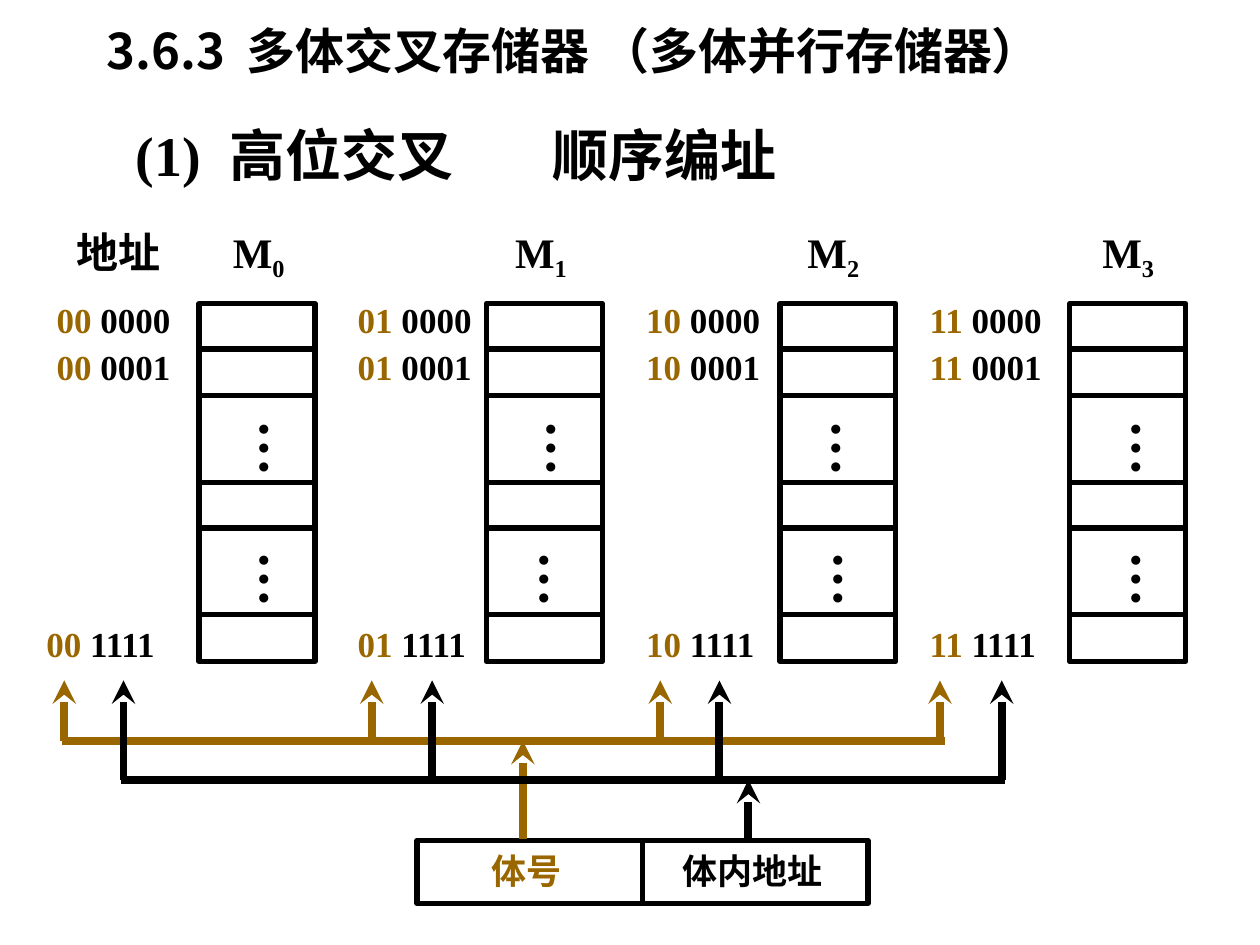
from dataclasses import dataclass
from itertools import pairwise

from lxml import etree
from pptx import Presentation
from pptx.dml.color import RGBColor
from pptx.enum.shapes import MSO_CONNECTOR, MSO_SHAPE
from pptx.enum.text import MSO_ANCHOR, MSO_AUTO_SIZE
from pptx.oxml.ns import qn
from pptx.util import Pt

RECTANGLE = MSO_SHAPE.RECTANGLE
STRAIGHT = MSO_CONNECTOR.STRAIGHT
TOP = MSO_ANCHOR.TOP
GROW = MSO_AUTO_SIZE.SHAPE_TO_FIT_TEXT
EMU_PER_PX = 9144  # 100 px to the inch


@dataclass(frozen=True)
class Theme:
    latin: str = "Times New Roman"
    chinese: str = "Noto Sans CJK SC"
    ink: str = "000000"
    bank: str = "996600"
    title: str = "FF0000"
    title_size: int = 28
    heading_size: int = 32
    label_size: int = 24
    body_size: int = 20
    box_line: float = 3
    bus_line: float = 4.5


def px(length):
    return length * EMU_PER_PX


def add_span(para, text, size, color, latin, chinese, baseline=0, tracking=0):
    """Add one bold run; baseline is in percent, tracking in points."""
    span = para.add_run()
    span.text = text
    font = span.font
    font.size, font.bold, font.name = Pt(size), True, latin
    font.color.rgb = RGBColor.from_string(color)
    properties = font._element
    if chinese:
        etree.SubElement(properties, qn("a:ea")).set("typeface", chinese)
    if baseline:
        properties.set("baseline", str(baseline * 1000))
    if tracking:
        properties.set("spc", str(tracking * 100))


class Painter:
    def __init__(self, slide, theme):
        self.slide = slide
        self.theme = theme

    def text(self, left, top, width, height, spans, size, wrap=False,
             latin=None, chinese=None, vertical=False, line_spacing=None):
        """Spans are (text, format) pairs; a format may hold color, baseline, tracking."""
        theme = self.theme
        box = self.slide.shapes.add_textbox(*map(px, (left, top, width, height)))
        frame = box.text_frame
        frame.word_wrap, frame.auto_size, frame.vertical_anchor = wrap, GROW, TOP
        if vertical:
            frame._txBody.bodyPr.set("vert", "eaVert")
        para = frame.paragraphs[0]
        if line_spacing:
            para.line_spacing = line_spacing
        for text, style in spans:
            add_span(para, text, size, **{"color": theme.ink, "latin": latin or theme.latin,
                                          "chinese": chinese, **style})

    def box(self, left, top, width, height):
        shape = self.slide.shapes.add_shape(RECTANGLE, *map(px, (left, top, width, height)))
        shape.shadow.inherit = False
        shape.fill.background()
        shape.line.color.rgb = RGBColor.from_string(self.theme.ink)
        shape.line.width = Pt(self.theme.box_line)

    def line(self, start, end, color, arrow=False):
        """Draw a bus line, with the arrowhead at its start."""
        wire = self.slide.shapes.add_connector(STRAIGHT, *map(px, (*start, *end)))
        wire.line.color.rgb = RGBColor.from_string(color)
        wire.line.width = Pt(self.theme.bus_line)
        properties = wire._element.spPr
        if arrow:
            etree.SubElement(properties.find(qn("a:ln")), qn("a:headEnd")).set("type", "stealth")
        etree.SubElement(properties, qn("a:effectLst"))

    def module(self, number, left, label_left, dots):
        theme = self.theme
        self.text(label_left, 175, 63, 50, [("M", {}), (str(number), {"baseline": -20})],
                  theme.label_size)
        for top, bottom in pairwise((241, 277, 314, 383, 419, 488, 525)):
            self.box(left, top, 92, bottom - top)
        for dots_left, top in zip(dots, (324, 428)):
            self.text(dots_left, top, 73, 55, [("…", {})], theme.heading_size, vertical=True)

    def addresses(self, bank, lefts):
        rows = zip(lefts, (232, 269, 489), ("0000", "0001", "1111"))
        for left, top, offset in rows:
            self.text(left, top, 115, 43,
                      [(bank, {"color": self.theme.bank}), (f" {offset}", {})],
                      self.theme.body_size, wrap=True)

    def bus(self, left, right, level, tips, source, color):
        """Draw a level line, an arrow up to each tip, and the arrow feeding it."""
        self.line((left, level), (right, level), color)
        for tip in tips:
            self.line((tip, 540), (tip, level), color, arrow=True)
        self.line((source, level), (source, 666), color, arrow=True)


def main():
    theme = Theme()
    deck = Presentation()
    deck.slide_width, deck.slide_height = px(1000), px(750)
    painter = Painter(deck.slides.add_slide(deck.slide_layouts[6]), theme)

    painter.text(75, 17, 767, 53,
                 [("3.6.3", {}), (" ", {"tracking": 6}), ("多体交叉存储器 （多体并行存储器）", {})],
                 theme.title_size, wrap=True, latin=theme.chinese,
                 chinese=theme.chinese, line_spacing=0.9)
    for_title = {"tracking": 8}
    painter.text(98, 91, 591, 63, [("(1)", {}), (" ", for_title), ("高位交叉", {})],
                 theme.heading_size, wrap=True, chinese=theme.chinese)
    painter.text(429, 91, 591, 63, [("顺序编址", {})], theme.heading_size,
                 wrap=True, chinese=theme.chinese)
    painter.text(51, 175, 87, 50, [("地址", {})], theme.label_size, chinese=theme.chinese)

    modules = (
        (158, 175, (183, 183), (35, 35, 27)),
        (386, 399, (411, 405), (274,) * 3),
        (619, 631, (637, 639), (503,) * 3),
        (849, 865, (875, 875), (728,) * 3),
    )
    for number, (left, label_left, dots, address_lefts) in enumerate(modules):
        painter.module(number, left, label_left, dots)
        painter.addresses(f"{number:02b}", address_lefts)

    fields = ((331, 380, 76, "体号", theme.bank), (510, 532, 131, "体内地址", theme.ink))
    for left, text_left, text_width, name, color in fields:
        painter.box(left, 667, 179, 50)
        painter.text(text_left, 669, text_width, 43, [(name, {"color": color})],
                     theme.body_size, chinese=theme.chinese)

    painter.bus(49, 750, 588, (51, 295, 524, 746), 415, theme.bank)
    painter.bus(96, 798, 619, (98, 343, 571, 795), 594, theme.ink)
    deck.save("out.pptx")


if __name__ == "__main__":
    main()
